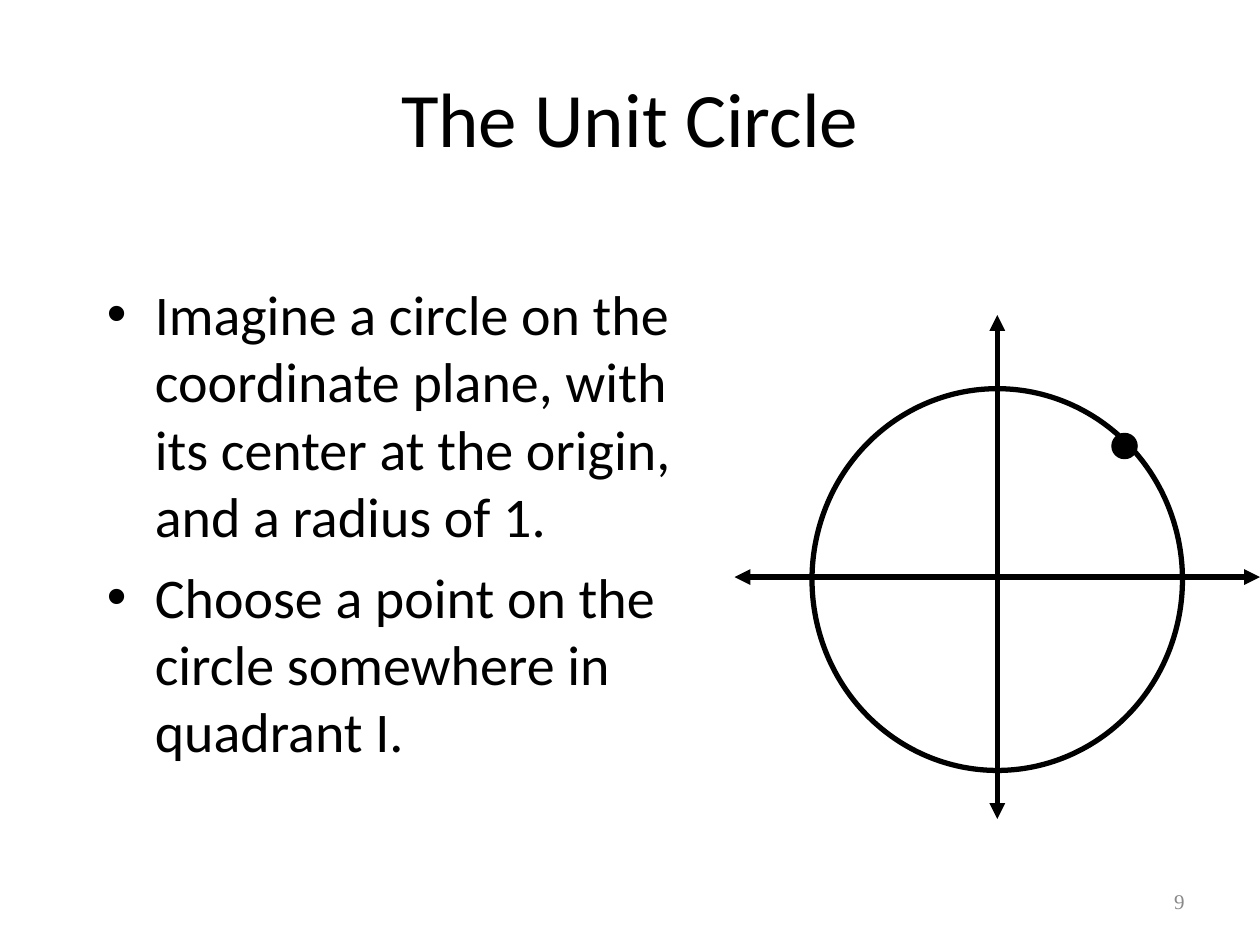
from dataclasses import dataclass

from lxml.etree import SubElement
from pptx import Presentation
from pptx.dml.color import RGBColor
from pptx.enum.shapes import MSO_CONNECTOR as Connector, MSO_SHAPE as Shape
from pptx.enum.text import MSO_ANCHOR as Anchor, PP_ALIGN as Align
from pptx.oxml.ns import qn
from pptx.util import Inches, Pt


@dataclass(frozen=True)
class Theme:
    ink: RGBColor = RGBColor(0x00, 0x00, 0x00)
    muted: RGBColor = RGBColor(0x89, 0x89, 0x89)
    font: str = "Calibri"
    number_font: str = "Times New Roman"
    title_size: int = 44
    body_size: int = 32
    number_size: int = 12
    stroke: float = 3
    thin_stroke: float = 0.75


THEME = Theme()


def add_frame(page, left, top, width, height, anchor):
    box = page.shapes.add_textbox(Inches(left), Inches(top), Inches(width), Inches(height))
    frame = box.text_frame
    frame.word_wrap = True
    frame.vertical_anchor = anchor
    return frame


def add_span(para, text, size, font=THEME.font, color=THEME.ink):
    span = para.add_run()
    span.text = text
    span.font.size = Pt(size)
    span.font.name = font
    span.font.color.rgb = color


def add_title(page, text, left, top, width, height):
    para = add_frame(page, left, top, width, height, Anchor.MIDDLE).paragraphs[0]
    para.alignment = Align.CENTER
    add_span(para, text, THEME.title_size)


def add_bullets(page, items, left, top, width, height):
    frame = add_frame(page, left, top, width, height, Anchor.TOP)
    for index, item in enumerate(items):
        para = frame.add_paragraph() if index else frame.paragraphs[0]
        # Hanging bullet
        props = para._p.get_or_add_pPr()
        props.set("marL", str(Inches(0.38)))
        props.set("indent", str(Inches(-0.38)))
        SubElement(props, qn("a:buFont"), typeface="Arial")
        SubElement(props, qn("a:buChar"), char="•")
        if index:
            para.space_before = Pt(8)
        add_span(para, item, THEME.body_size)


def add_page_number(page, number, left, top, width, height):
    para = add_frame(page, left, top, width, height, Anchor.MIDDLE).paragraphs[0]
    para.alignment = Align.RIGHT
    add_span(para, number, THEME.number_size, THEME.number_font, THEME.muted)


def add_axis(page, x1, y1, x2, y2):
    axis = page.shapes.add_connector(
        Connector.STRAIGHT, Inches(x1), Inches(y1), Inches(x2), Inches(y2))
    axis.line.color.rgb = THEME.ink
    axis.line.width = Pt(THEME.stroke)
    # Arrowheads at both ends
    line = axis.line._get_or_add_ln()
    for end in ("a:headEnd", "a:tailEnd"):
        SubElement(line, qn(end), type="triangle")
    SubElement(axis._element.spPr, qn("a:effectLst"))


def add_ellipse(page, center_x, center_y, width, height, stroke, filled=False):
    ellipse = page.shapes.add_shape(
        Shape.OVAL, Inches(center_x - width / 2), Inches(center_y - height / 2),
        Inches(width), Inches(height))
    ellipse.shadow.inherit = False
    if filled:
        ellipse.fill.solid()
        ellipse.fill.fore_color.rgb = THEME.ink
    else:
        ellipse.fill.background()
    ellipse.line.color.rgb = THEME.ink
    ellipse.line.width = Pt(stroke)


def add_unit_circle(page, left, top, width, height):
    origin_x, origin_y = left + width / 2, top + 2.08
    # Axes
    add_axis(page, origin_x, top, origin_x, top + height)
    add_axis(page, left, origin_y, left + width, origin_y)
    # Circle and the chosen point in quadrant I
    add_ellipse(page, origin_x, origin_y + 0.02, 2.94, 3.03, THEME.stroke)
    add_ellipse(page, origin_x + 1.01, origin_y - 1.04, 0.2, 0.2, THEME.thin_stroke, filled=True)


def main():
    deck = Presentation()
    deck.slide_width, deck.slide_height = Inches(10), Inches(7.5)
    page = deck.slides.add_slide(deck.slide_layouts[6])

    add_title(page, "The Unit Circle", 0.5, 0.3, 9, 1.25)
    add_bullets(page, [
        "Imagine a circle on the coordinate plane, with its center at the origin, "
        "and a radius of 1.",
        "Choose a point on the circle somewhere in quadrant I.",
    ], 0.75, 2.17, 5.08, 4.5)
    add_page_number(page, "9", 7.17, 6.95, 2.33, 0.4)
    add_unit_circle(page, 5.83, 2.5, 4.17, 4)

    deck.save("out.pptx")


if __name__ == "__main__":
    main()
